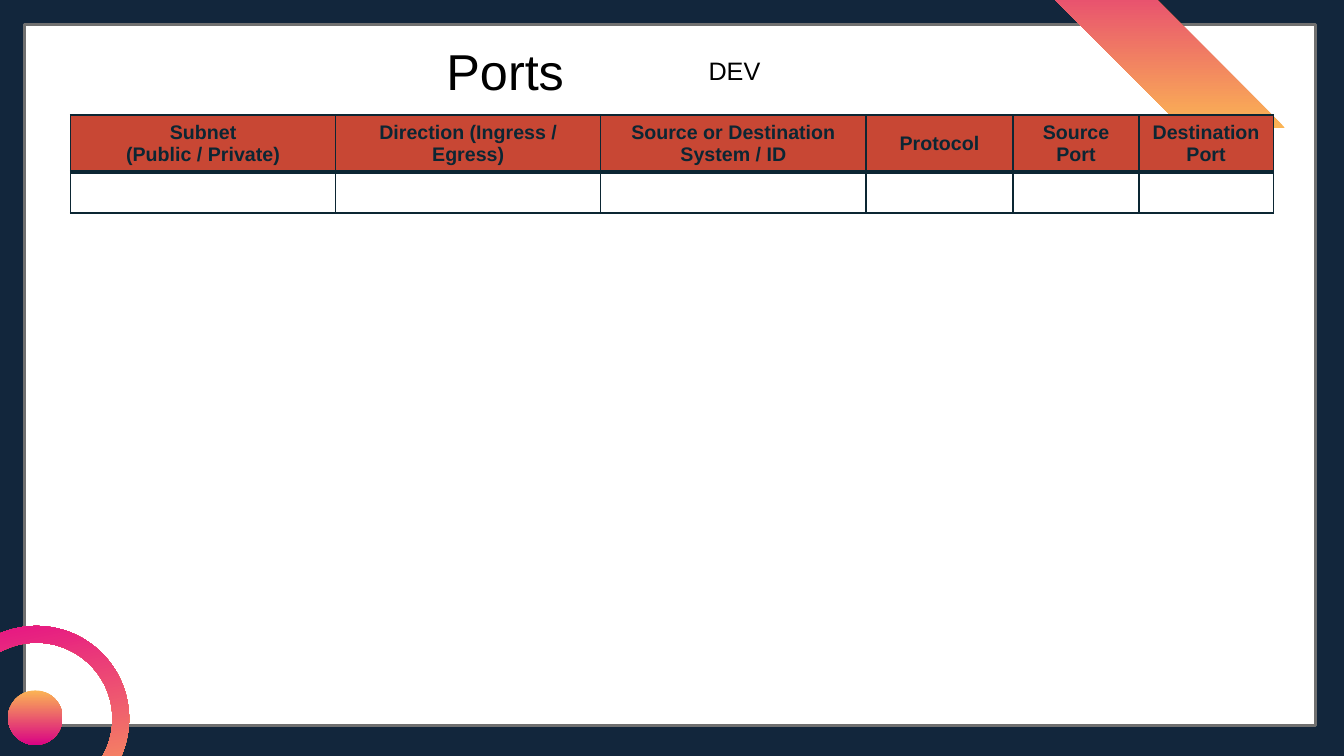
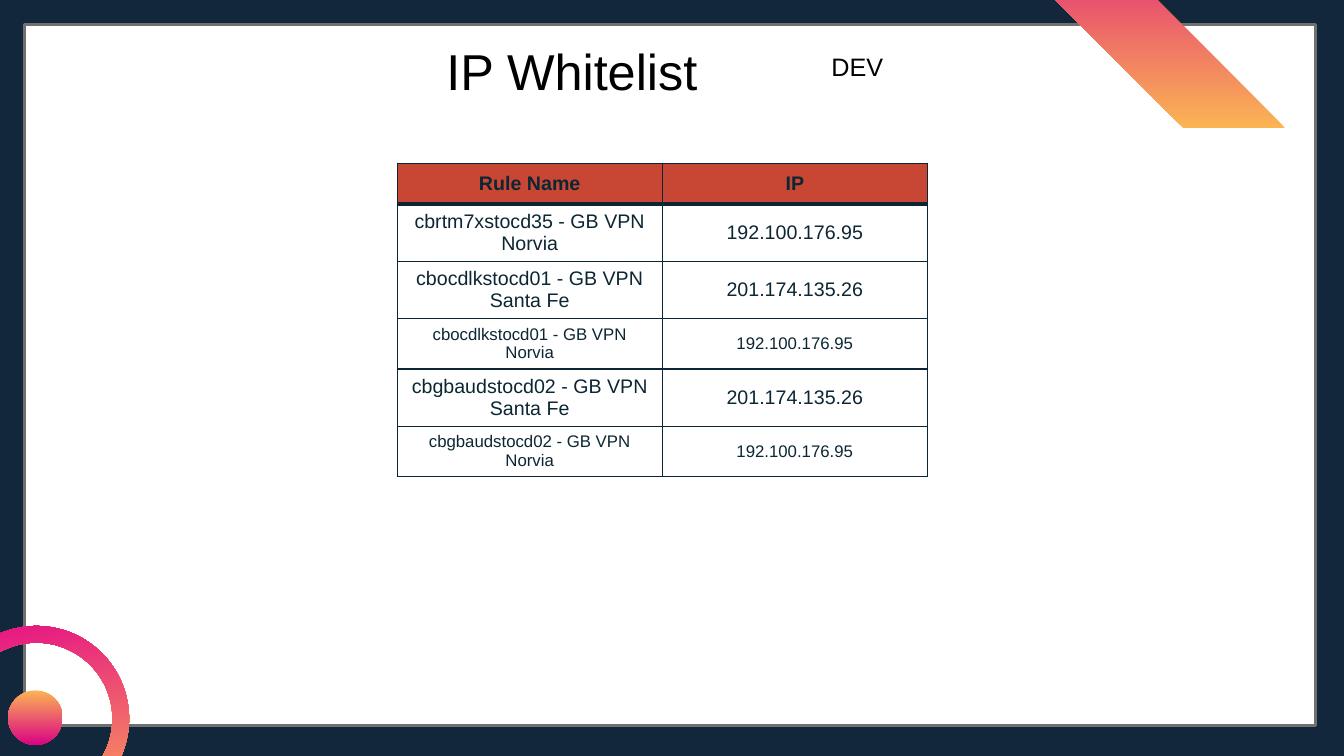
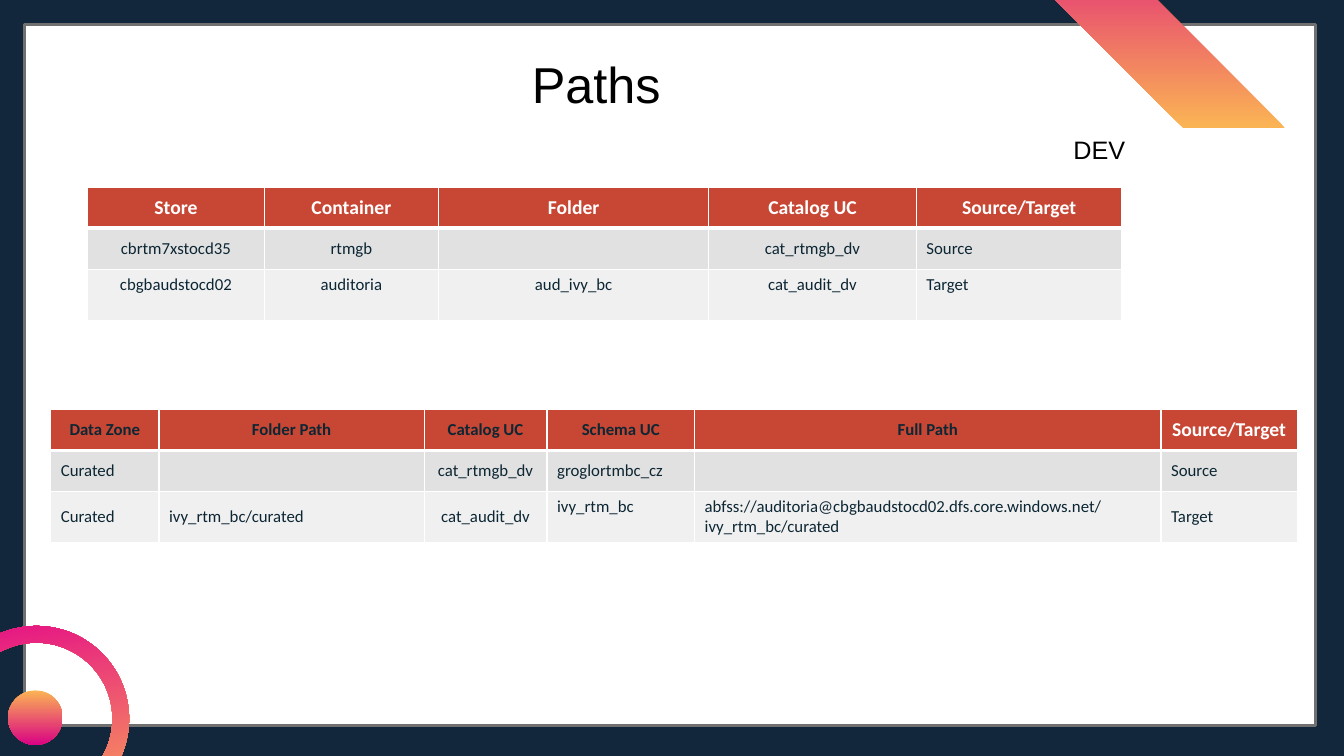
from dataclasses import dataclass, field
from itertools import cycle

from lxml.etree import SubElement
from pptx import Presentation
from pptx.dml.color import RGBColor
from pptx.enum.shapes import MSO_SHAPE
from pptx.enum.text import MSO_ANCHOR, PP_ALIGN
from pptx.oxml.ns import qn
from pptx.slide import Slide
from pptx.table import _Cell
from pptx.text.text import TextFrame
from pptx.util import Pt


@dataclass(frozen=True)
class Theme:
    navy: str = "12263C"
    white: str = "FFFFFF"
    black: str = "000000"
    ink: str = "0C2633"
    frame_line: str = "707070"
    red: str = "C84734"
    gray: str = "E1E1E1"
    pale: str = "F0F0F0"
    orange: str = "FBB454"
    magenta: str = "D90384"
    pink: str = "E3028A"
    sans: str = "Arial"
    table_sans: str = "Calibri"
    title_size: float = 36
    label_size: float = 18
    header_size: float = 14
    small_size: float = 12


THEME = Theme()


@dataclass(frozen=True)
class Box:
    left: float
    top: float
    width: float
    height: float

    def lengths(self) -> tuple[Pt, Pt, Pt, Pt]:
        return Pt(self.left), Pt(self.top), Pt(self.width), Pt(self.height)


@dataclass(frozen=True)
class Type:
    size: float
    color: str
    font: str = THEME.sans
    bold: bool = False


TITLE = Type(THEME.title_size, THEME.black)
LABEL = Type(THEME.label_size, THEME.black)
PORT_HEADER = Type(THEME.header_size, THEME.ink, bold=True)
PORT_BODY = Type(THEME.header_size, THEME.ink)
PORT_SMALL = Type(THEME.small_size, THEME.ink)
PATH_HEADER = Type(THEME.header_size, THEME.white, THEME.table_sans, True)
PATH_DARK_HEADER = Type(THEME.small_size, THEME.ink, THEME.table_sans, True)
PATH_BODY = Type(THEME.small_size, THEME.ink, THEME.table_sans)


@dataclass(frozen=True)
class Ornament:
    kind: MSO_SHAPE
    box: Box
    end_color: str
    end_stop: float = 1
    rotation: float = 0
    adjustment: float | None = None
    flipped: bool = False


ORNAMENTS = (
    Ornament(MSO_SHAPE.DONUT, Box(-40.3, 447.1, 132.5, 132.5), THEME.pink,
             rotation=168.5, adjustment=0.09),
    Ornament(MSO_SHAPE.OVAL, Box(5.8, 493.2, 38.9, 38.9), THEME.magenta),
    Ornament(MSO_SHAPE.DIAGONAL_STRIPE, Box(712.1, -114.5, 205.9, 205.9), THEME.magenta,
             end_stop=0.81, rotation=180, adjustment=0.646, flipped=True),
)


@dataclass(frozen=True)
class Row:
    height: float
    texts: tuple[str, ...]
    type: Type
    anchor: MSO_ANCHOR = MSO_ANCHOR.MIDDLE


@dataclass(frozen=True)
class Grid:
    """A table; `alignment` has one letter (c or l) for each body column."""
    left: float
    top: float
    columns: tuple[float, ...]
    alignment: str
    rows: tuple[Row, ...]
    line: str
    body_fills: tuple[str, ...]
    type_at: dict[tuple[int, int], Type] = field(default_factory=dict)
    anchor_at: dict[tuple[int, int], MSO_ANCHOR] = field(default_factory=dict)


def rgb(color: str) -> RGBColor:
    return RGBColor.from_string(color)


def format_text(frame: TextFrame, style: Type, align: PP_ALIGN) -> None:
    for para in frame.paragraphs:
        para.alignment = align
        for span in para.runs:
            span.font.name = style.font
            span.font.size = Pt(style.size)
            span.font.bold = style.bold
            span.font.color.rgb = rgb(style.color)


def add_text(page: Slide, box: Box, text: str, style: Type,
             align: PP_ALIGN = PP_ALIGN.LEFT) -> TextFrame:
    frame = page.shapes.add_textbox(*box.lengths()).text_frame
    frame.word_wrap = True
    frame.text = text
    format_text(frame, style, align)
    return frame


def add_title(page: Slide, box: Box, text: str, align: PP_ALIGN = PP_ALIGN.LEFT) -> None:
    frame = add_text(page, box, text, TITLE, align)
    frame.vertical_anchor = MSO_ANCHOR.MIDDLE
    frame.paragraphs[0].line_spacing = 0.9


def add_ornament(page: Slide, ornament: Ornament) -> None:
    shape = page.shapes.add_shape(ornament.kind, *ornament.box.lengths())
    shape.shadow.inherit = False
    shape.line.fill.background()
    shape.rotation = ornament.rotation
    if ornament.adjustment is not None:
        shape.adjustments[0] = ornament.adjustment
    if ornament.flipped:
        shape.element.spPr.xfrm.set("flipH", "1")
    shape.fill.gradient()
    shape.fill.gradient_angle = 270
    first, last = shape.fill.gradient_stops
    first.color.rgb, first.position = rgb(THEME.orange), 0
    last.color.rgb, last.position = rgb(ornament.end_color), ornament.end_stop


def add_page(deck: Presentation) -> Slide:
    """Add a blank page with the white panel and the ornaments."""
    page = deck.slides.add_slide(deck.slide_layouts[6])
    panel = page.shapes.add_shape(MSO_SHAPE.RECTANGLE, *Box(17.3, 17.3, 922.3, 501.1).lengths())
    panel.shadow.inherit = False
    panel.fill.solid()
    panel.fill.fore_color.rgb = rgb(THEME.white)
    panel.line.color.rgb = rgb(THEME.frame_line)
    panel.line.width = Pt(2)
    for ornament in ORNAMENTS:
        add_ornament(page, ornament)
    return page


def set_borders(cell: _Cell, color: str, top: float, bottom: float) -> None:
    properties = cell._tc.get_or_add_tcPr()
    widths = {"a:lnL": 1, "a:lnR": 1, "a:lnT": top, "a:lnB": bottom}
    for position, (tag, width) in enumerate(widths.items()):
        line = SubElement(properties, qn(tag), w=str(Pt(width)))
        SubElement(SubElement(line, qn("a:solidFill")), qn("a:srgbClr"), val=color)
        properties.insert(position, line)


def add_grid(page: Slide, grid: Grid) -> None:
    box = Box(grid.left, grid.top, sum(grid.columns), sum(row.height for row in grid.rows))
    table = page.shapes.add_table(len(grid.rows), len(grid.columns), *box.lengths()).table
    for column, width in zip(table.columns, grid.columns):
        column.width = Pt(width)
    body_fills = cycle(grid.body_fills)
    for r, row in enumerate(grid.rows):
        table.rows[r].height = Pt(row.height)
        fill = next(body_fills) if r else THEME.red
        for c, text in enumerate(row.texts):
            cell = table.cell(r, c)
            cell.text_frame.text = text
            centred = r == 0 or grid.alignment[c] == "c"
            format_text(cell.text_frame, grid.type_at.get((r, c), row.type),
                        PP_ALIGN.CENTER if centred else PP_ALIGN.LEFT)
            cell.vertical_anchor = grid.anchor_at.get((r, c), row.anchor)
            cell.fill.solid()
            cell.fill.fore_color.rgb = rgb(fill)
            set_borders(cell, grid.line, top=3 if r == 1 else 1, bottom=1 if r else 3)


ROW, TWO_LINES, TWO_SMALL_LINES, TWO_PATH_LINES = 29.2, 38.9, 34.4, 36.5

PORTS = Grid(
    50.4, 82.1, (189.4, 189.4, 189.4, 105.1, 90, 95.8), "cccccc",
    (
        Row(TWO_LINES, ("Subnet\n(Public / Private)", "Direction (Ingress / Egress)",
                        "Source or Destination System / ID", "Protocol", "Source Port",
                        "Destination Port"), PORT_HEADER),
        Row(ROW, ("",) * 6, PORT_BODY),
    ),
    THEME.ink, (THEME.white,),
)

WHITELIST = Grid(
    283.7, 116.6, (189.4, 189.4), "cc",
    (
        Row(ROW, ("Rule Name", "IP"), PORT_HEADER),
        Row(TWO_LINES, ("cbrtm7xstocd35 - GB VPN Norvia", "192.100.176.95"), PORT_BODY),
        Row(TWO_LINES, ("cbocdlkstocd01 - GB VPN Santa Fe", "201.174.135.26"), PORT_BODY),
        Row(TWO_SMALL_LINES, ("cbocdlkstocd01 - GB VPN Norvia", "192.100.176.95"), PORT_SMALL),
        Row(TWO_LINES, ("cbgbaudstocd02 - GB VPN Santa Fe", "201.174.135.26"), PORT_BODY),
        Row(TWO_SMALL_LINES, ("cbgbaudstocd02 - GB VPN Norvia", "192.100.176.95"), PORT_SMALL),
    ),
    THEME.ink, (THEME.white,),
)

CONTAINERS = Grid(
    62.7, 133.9, (126, 124.6, 193, 148.3, 146.9), "ccccl",
    (
        Row(ROW, ("Store", "Container", "Folder", "Catalog UC", "Source/Target"), PATH_HEADER),
        Row(ROW, ("cbrtm7xstocd35", "rtmgb", "", "cat_rtmgb_dv", "Source"), PATH_BODY),
        Row(TWO_PATH_LINES, ("cbgbaudstocd02", "auditoria", "aud_ivy_bc", "cat_audit_dv",
                             "Target"), PATH_BODY, MSO_ANCHOR.TOP),
    ),
    THEME.white, (THEME.gray, THEME.pale),
)

FOLDERS = Grid(
    36.3, 292.5, (77.3, 189.4, 87.8, 105.4, 333.2, 97.2), "llclll",
    (
        Row(ROW, ("Data Zone", "Folder Path", "Catalog UC", "Schema UC", "Full Path",
                  "Source/Target"), PATH_DARK_HEADER),
        Row(ROW, ("Curated", "", "cat_rtmgb_dv", "groglortmbc_cz", "", "Source"), PATH_BODY),
        Row(TWO_PATH_LINES, (
            "Curated", "ivy_rtm_bc/curated", "cat_audit_dv", "ivy_rtm_bc",
            "abfss://auditoria@cbgbaudstocd02.dfs.core.windows.net/ivy_rtm_bc/curated",
            "Target"), PATH_BODY),
    ),
    THEME.white, (THEME.gray, THEME.pale),
    type_at={(0, 5): PATH_HEADER},
    anchor_at={(2, 3): MSO_ANCHOR.TOP},
)

WIDE_TITLE = Box(311.8, 11.5, 427, 83.5)


def add_ports(deck: Presentation) -> None:
    page = add_page(deck)
    add_title(page, WIDE_TITLE, "Ports")
    add_text(page, Box(499, 36, 152.6, 39.6), "DEV", LABEL)
    add_grid(page, PORTS)


def add_whitelist(deck: Presentation) -> None:
    page = add_page(deck)
    add_title(page, WIDE_TITLE, "IP Whitelist")
    add_text(page, Box(586.8, 33.1, 152.6, 39.6), "DEV", LABEL)
    add_grid(page, WHITELIST)


def add_paths(deck: Presentation) -> None:
    page = add_page(deck)
    add_text(page, Box(759.6, 92.2, 152.6, 27.4), "DEV", LABEL)
    add_title(page, Box(355, 17.3, 141.8, 90), "Paths", PP_ALIGN.CENTER)
    add_grid(page, CONTAINERS)
    add_grid(page, FOLDERS)


def main() -> None:
    deck = Presentation()
    deck.slide_width, deck.slide_height = Pt(960), Pt(540)
    background = deck.slide_master.background.fill
    background.solid()
    background.fore_color.rgb = rgb(THEME.navy)
    add_ports(deck)
    add_whitelist(deck)
    add_paths(deck)
    deck.save("out.pptx")


if __name__ == "__main__":
    main()
